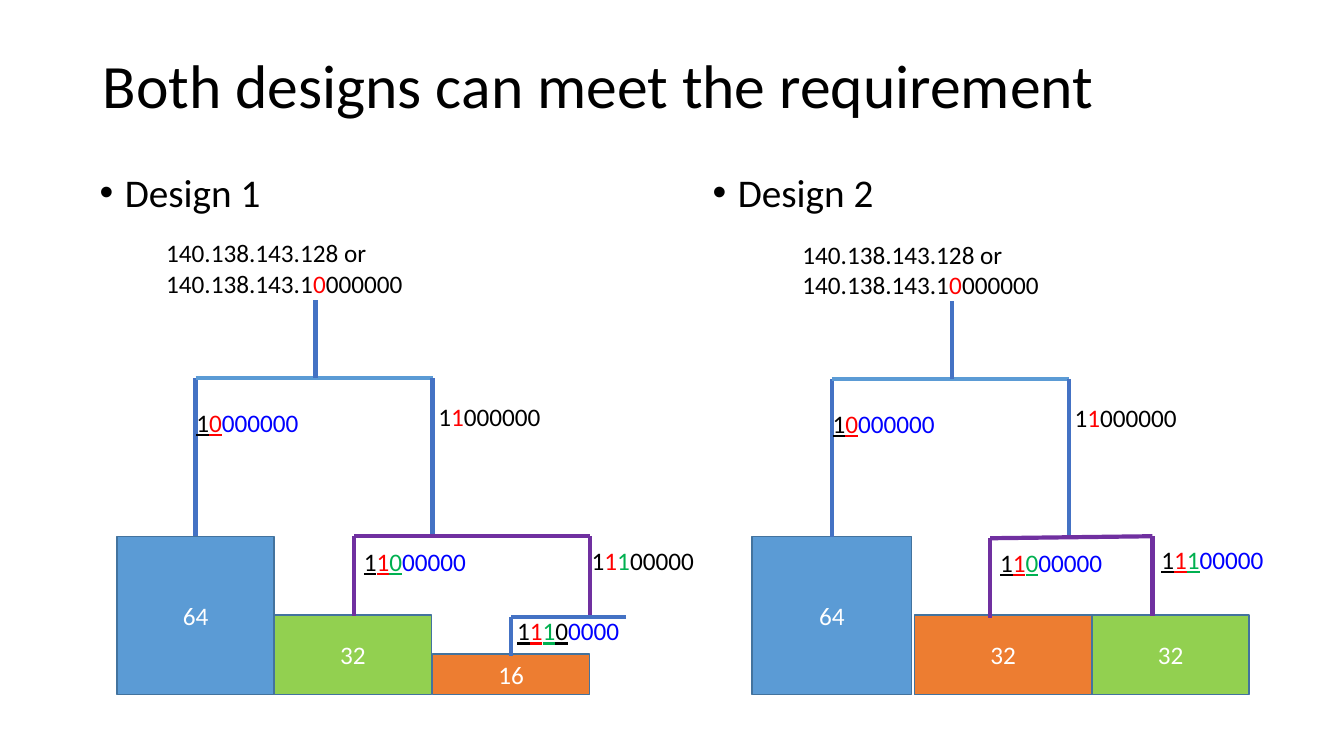
from lxml import etree
from pptx import Presentation
from pptx.dml.color import RGBColor
from pptx.enum.shapes import MSO_CONNECTOR, MSO_SHAPE
from pptx.enum.text import MSO_ANCHOR, PP_ALIGN
from pptx.oxml.ns import qn
from pptx.util import Inches, Pt

RECT = MSO_SHAPE.RECTANGLE
STRAIGHT = MSO_CONNECTOR.STRAIGHT
TOP, MIDDLE = MSO_ANCHOR.TOP, MSO_ANCHOR.MIDDLE
CENTER = PP_ALIGN.CENTER

COLORS = {
    "black": "000000", "white": "FFFFFF", "red": "FF0000", "blue": "0000FF",
    "bit": "00B050", "sky": "5B9BD5", "edge": "43739E", "orange": "ED7D31",
    "lime": "92D050", "branch": "4472C4", "purple": "7030A0",
}
BIT_COLORS = ["black", "red", "bit", "black"]
NETWORK = "140.138.143."
BASELINE = 6.89


def rgb(name):
    return RGBColor.from_string(COLORS[name])


class SlideBuilder:
    """Draws elements on one slide in a shared style."""

    font = "Calibri"

    def __init__(self, slide):
        self.shapes = slide.shapes

    def run(self, p, text, size=18, color="black", underline=False):
        r = p.add_run()
        r.text = text
        style = {"name": self.font, "size": Pt(size), "underline": underline}
        for key, value in style.items():
            setattr(r.font, key, value)
        r.font.color.rgb = rgb(color)

    def frame(self, x, y, w, h, anchor=TOP):
        tf = self.shapes.add_textbox(*map(Inches, (x, y, w, h))).text_frame
        tf.word_wrap = True
        tf.vertical_anchor = anchor
        return tf

    def title(self, text):
        p = self.frame(0.92, 0.15, 11.5, 1.45, MIDDLE).paragraphs[0]
        p.line_spacing = 0.9
        self.run(p, text, 44)

    def bullet(self, text, x):
        p = self.frame(x, 1.67, 5.67, 4.76).paragraphs[0]
        p.line_spacing = 0.9
        p.space_before = Pt(10)
        pPr = p._p.get_or_add_pPr()
        pPr.set("marL", str(Inches(0.25)))
        pPr.set("indent", str(Inches(-0.25)))
        etree.SubElement(pPr, qn("a:buFont")).set("typeface", "Arial")
        etree.SubElement(pPr, qn("a:buChar")).set("char", "•")
        self.run(p, text, 28)

    def bits(self, p, code, depth, leaf):
        """Colour the first depth bits; a leaf underlines them and has blue host bits."""
        for bit, color in zip(code[:depth], BIT_COLORS):
            self.run(p, bit, color=color, underline=leaf)
        self.run(p, code[depth:], color="blue" if leaf else "black")

    def label(self, x, y, code, depth, leaf=True):
        self.bits(self.frame(x, y, 1.36, 0.4).paragraphs[0], code, depth, leaf)

    def address(self, x, y):
        tf = self.frame(x, y, 4.82, 0.71)
        self.run(tf.paragraphs[0], NETWORK + "128 or")
        p = tf.add_paragraph()
        self.run(p, NETWORK)
        self.bits(p, "10000000", 2, False)

    def block(self, x, top, w, hosts, color):
        sp = self.shapes.add_shape(RECT, *map(Inches, (x, top, w, BASELINE - top)))
        sp.shadow.inherit = False
        sp.fill.solid()
        sp.fill.fore_color.rgb = rgb(color)
        sp.line.color.rgb = rgb("edge")
        sp.line.width = Pt(1)
        sp.text_frame.vertical_anchor = MIDDLE
        p = sp.text_frame.paragraphs[0]
        p.alignment = CENTER
        self.run(p, hosts, color="white")

    def line(self, x1, y1, x2, y2, color="branch"):
        ln = self.shapes.add_connector(STRAIGHT, *map(Inches, (x1, y1, x2, y2)))
        ln.line.color.rgb = rgb(color)
        ln.line.width = Pt(3)
        etree.SubElement(ln._element.spPr, qn("a:effectLst"))

    def upper_tree(self, dx, dy):
        """First split of the network, shared by both designs."""
        left, stem, right = 1.94 + dx, 3.13 + dx, 4.29 + dx
        top, bottom = 3.75 + dy, 5.32 + dy
        self.line(left, top, left, bottom)
        self.line(left, top, right, top, "sky")
        self.line(right, top, right, bottom)
        self.line(stem, 2.98 + dy, stem, top)
        self.address(1.55 + dx, 2.31 + dy)
        self.label(1.85 + dx, 3.99 + dy, "10000000", 2)
        self.label(4.25 + dx, 3.93 + dy, "11000000", 2, leaf=False)
        self.label(3.51 + dx, 5.37 + dy, "11000000", 3)

    def lower_split(self, left, left_top, right, right_top):
        drop = 0.79
        self.line(left, left_top, left, left_top + drop, "purple")
        self.line(right, right_top, right, right_top + drop, "purple")
        self.line(right, right_top, left, left_top, "purple")


def main():
    prs = Presentation()
    prs.slide_width, prs.slide_height = Inches(13.33), Inches(7.5)
    s = SlideBuilder(prs.slides.add_slide(prs.slide_layouts[6]))

    s.title("Both designs can meet the requirement")
    s.bullet("Design 1", 0.89)
    s.bullet("Design 2", 6.97)

    for block in [
        (1.16, 5.32, 1.56, "64", "sky"),
        (2.72, 6.1, 1.56, "32", "lime"),
        (4.29, 6.49, 1.56, "16", "orange"),
        (7.46, 5.32, 1.58, "64", "sky"),
        (9.07, 6.1, 1.76, "32", "orange"),
        (10.83, 6.1, 1.56, "32", "lime"),
    ]:
        s.block(*block)

    s.upper_tree(0, 0)
    s.lower_split(3.51, 5.32, 5.85, 5.32)
    s.line(5.07, 6.12, 5.07, 6.51)
    s.line(6.21, 6.12, 5.07, 6.12)
    s.label(5.77, 5.36, "11100000", 3, leaf=False)
    s.label(5.03, 6.06, "11100000", 4)

    s.upper_tree(6.31, 0.01)
    s.lower_split(9.82, 5.34, 11.43, 5.32)
    s.label(11.42, 5.35, "11100000", 3)

    prs.save("out.pptx")


if __name__ == "__main__":
    main()
